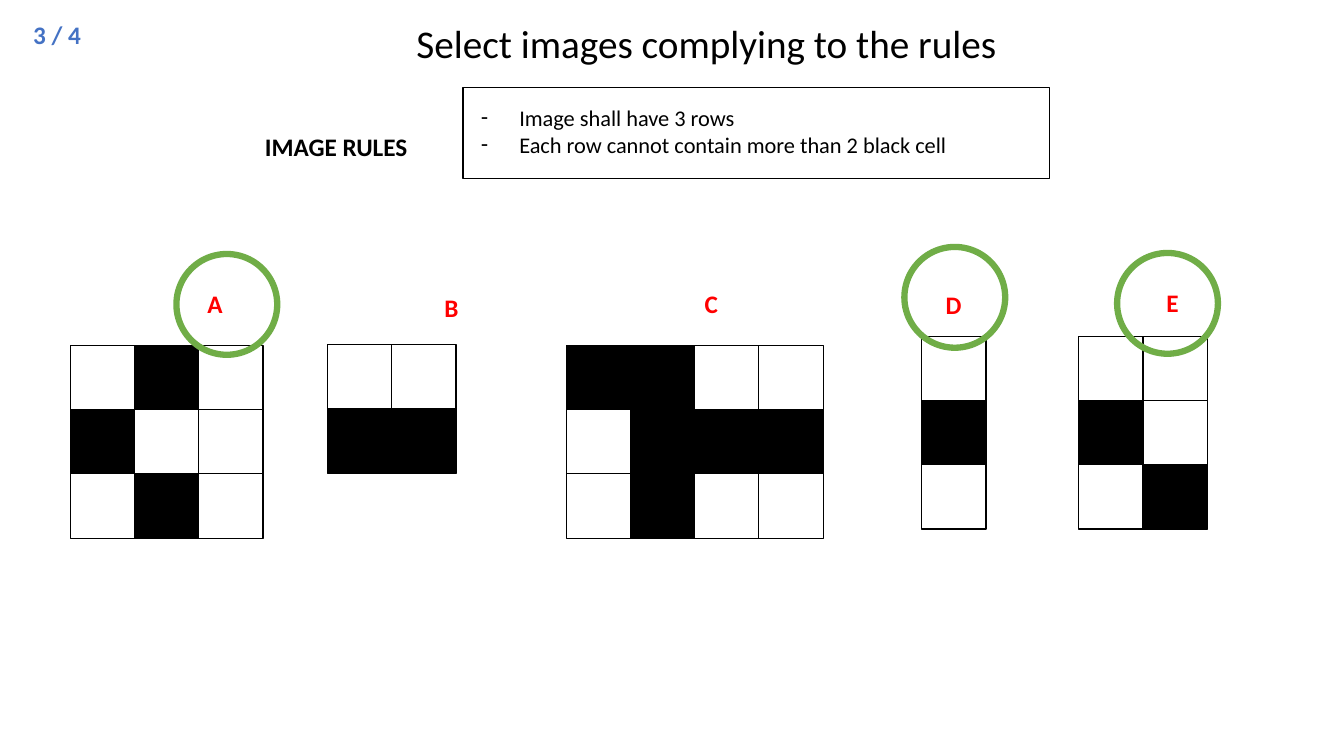
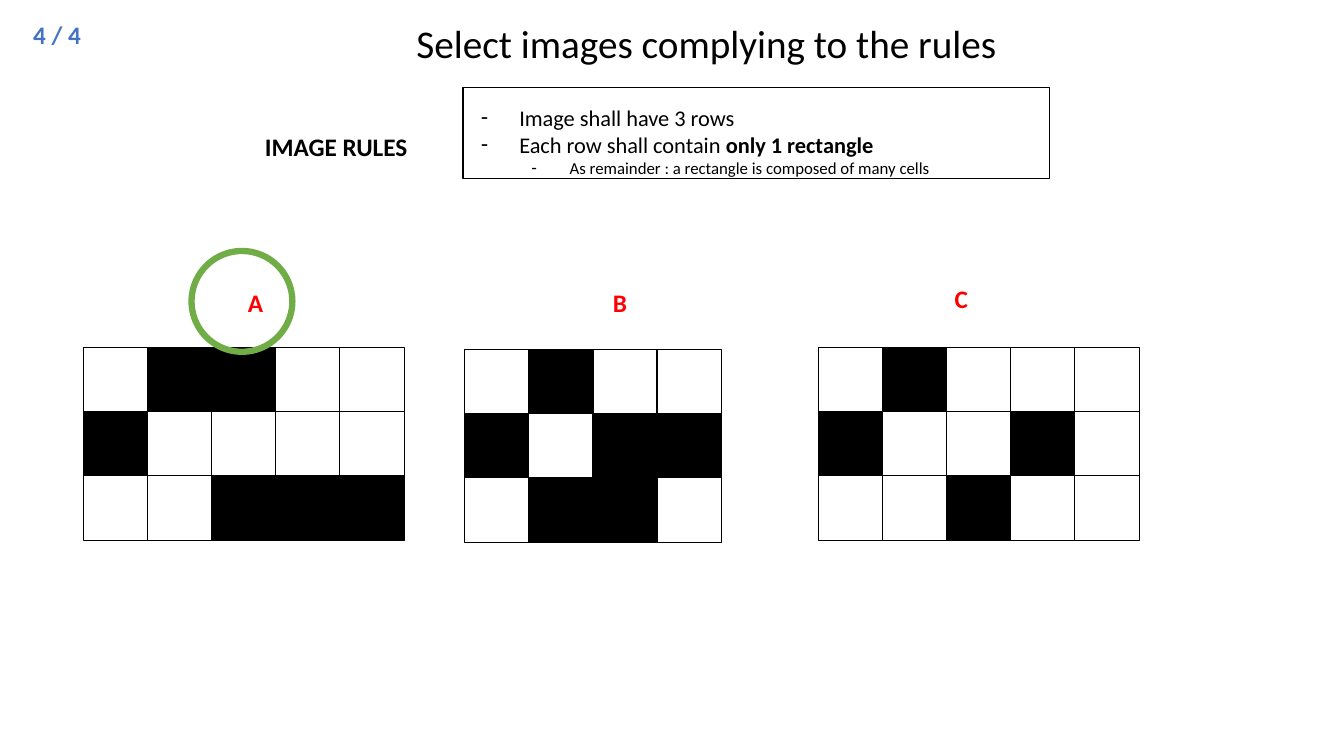
import pptx
import pptx.util
import pptx.dml.color
import pptx.enum.shapes
import pptx.enum.text
import pptx.oxml
import lxml.etree
from pptx.oxml.ns import qn

Inches = pptx.util.Inches
Pt = pptx.util.Pt
RGB = pptx.dml.color.RGBColor
SHAPE = pptx.enum.shapes.MSO_SHAPE
TEXT = pptx.enum.text

BLACK = RGB(0x00, 0x00, 0x00)
WHITE = RGB(0xFF, 0xFF, 0xFF)
RED = RGB(0xFF, 0x00, 0x00)
GREEN = RGB(0x70, 0xAD, 0x47)
BLUE = RGB(0x44, 0x72, 0xC4)
FONT = "Calibri"
CELL = 0.64
PITCH = 0.635
RING = 1

TITLE = "Select images complying to the rules"
HEAD = "IMAGE RULES"

# Rule: level, then (text, bold) runs.
# Figure: letter, letter place, grid place, rows (# is black), ring place.
SLIDES = [
    {
        "page": "3 / 4",
        "rules": [
            (0, [("Image shall have 3 rows", False)]),
            (0, [("Each row cannot contain more than 2 black cell", False)]),
        ],
        "figures": [
            ("A", (1.96, 2.81), (0.7, 3.43), (".#.", "#..", ".#."), (1.75, 2.52)),
            ("B", (4.31, 2.85), (3.25, 3.42), ("..", "##"), None),
            ("C", (6.89, 2.81), (5.62, 3.43), ("##..", ".###", ".#.."), None),
            ("D", (9.28, 2.82), (9.14, 3.34), (".", "#", "."), (8.97, 2.45)),
            ("E", (11.47, 2.8), (10.7, 3.34), ("..", "#.", ".#"), (11.08, 2.51)),
        ],
    },
    {
        "page": "4 / 4",
        "rules": [
            (0, [("Image shall have 3 rows", False)]),
            (0, [("Each row shall contain ", False), ("only 1 rectangle", True)]),
            (1, [("As remainder : a rectangle is composed of many cells", False)]),
        ],
        "figures": [
            ("A", (2.36, 2.8), (0.83, 3.45), (".##..", "#....", "..###"), (1.9, 2.49)),
            ("B", (5.98, 2.8), (4.61, 3.47), (".#..", "#.##", ".##."), None),
            ("C", (9.37, 2.76), (8.12, 3.45), (".#...", "#..#.", "..#.."), None),
        ],
    },
]


def place(shape, left, top, width, height):
    """Move and size a shape, in inches."""
    shape.left, shape.top = Inches(left), Inches(top)
    shape.width, shape.height = Inches(width), Inches(height)


def style(para, size, color, bold=False):
    """Set the font of a whole paragraph."""
    font = para.font
    font.name, font.size, font.bold = FONT, Pt(size), bold
    font.color.rgb = color


def fit(frame):
    """Give a placeholder's text frame plain top-left layout."""
    frame.auto_size = TEXT.MSO_AUTO_SIZE.NONE
    frame.vertical_anchor = TEXT.MSO_ANCHOR.TOP
    frame.word_wrap = True


def label(slide, text, left, top, width, color):
    """Add a short bold label."""
    box = slide.shapes.add_textbox(
        Inches(left), Inches(top), Inches(width), Inches(0.4))
    box.text_frame.word_wrap = False
    para = box.text_frame.paragraphs[0]
    para.text = text
    style(para, 18, color, True)


def outline(slide, kind, box, color, width, fill=None):
    """Add a lined shape, filled only if a fill is given."""
    shape = slide.shapes.add_shape(kind, *[Inches(n) for n in box])
    shape.shadow.inherit = False
    shape.line.color.rgb = color
    shape.line.width = Pt(width)
    if fill is None:
        shape.fill.background()
    else:
        shape.fill.solid()
        shape.fill.fore_color.rgb = fill


def title(slide):
    """Fill the title placeholder."""
    shape = slide.shapes.title
    place(shape, 4.03, 0.14, 6.33, 0.57)
    fit(shape.text_frame)
    para = shape.text_frame.paragraphs[0]
    para.text = TITLE
    para.alignment = TEXT.PP_ALIGN.LEFT
    style(para, 28, BLACK)


def dash(para, level):
    """Give a paragraph a hanging dash bullet."""
    para.level = level
    props = para._p.get_or_add_pPr()
    props.set("marL", str(Inches(0.38 + 0.5 * level)))
    props.set("indent", str(Inches(-0.38)))
    lxml.etree.SubElement(props, qn("a:buChar")).set("char", "-")


def rules(slide, items):
    """Fill the body placeholder with the rules and frame it."""
    body = slide.placeholders[1]
    place(body, 4.67, 0.98, 4.87, 0.84 if len(items) > 2 else 0.64)
    frame = body.text_frame
    fit(frame)
    for i, (level, runs) in enumerate(items):
        para = frame.add_paragraph() if i else frame.paragraphs[0]
        dash(para, level)
        para.space_before = Pt(0)
        style(para, 12 if level else 16, BLACK)
        for text, bold in runs:
            run = para.add_run()
            run.text = text
            if bold:
                run.font.bold = True
    label(slide, HEAD, 2.53, 1.25, 1.63, BLACK)
    outline(slide, SHAPE.RECTANGLE, (4.59, 0.87, 5.82, 0.9), BLACK, 1)


def grid(slide, left, top, rows):
    """Draw a grid of black and white cells."""
    for r, row in enumerate(rows):
        for c, mark in enumerate(row):
            box = (left + c * PITCH, top + r * PITCH, CELL, CELL)
            fill = BLACK if mark == "#" else WHITE
            outline(slide, SHAPE.RECTANGLE, box, BLACK, 1, fill)


def build(deck, data):
    """Build one quiz slide."""
    slide = deck.slides.add_slide(deck.slide_layouts[1])
    title(slide)
    rules(slide, data["rules"])
    for name, spot, start, rows, ring in data["figures"]:
        label(slide, name, *spot, 0.34, RED)
        grid(slide, *start, rows)
        if ring:
            outline(slide, SHAPE.OVAL, (*ring, RING, RING), GREEN, 4.5)
    label(slide, data["page"], 0.23, 0.14, 0.68, BLUE)


deck = pptx.Presentation()
deck.slide_width, deck.slide_height = Inches(13.33), Inches(7.5)
for data in SLIDES:
    build(deck, data)
deck.save("out.pptx")
